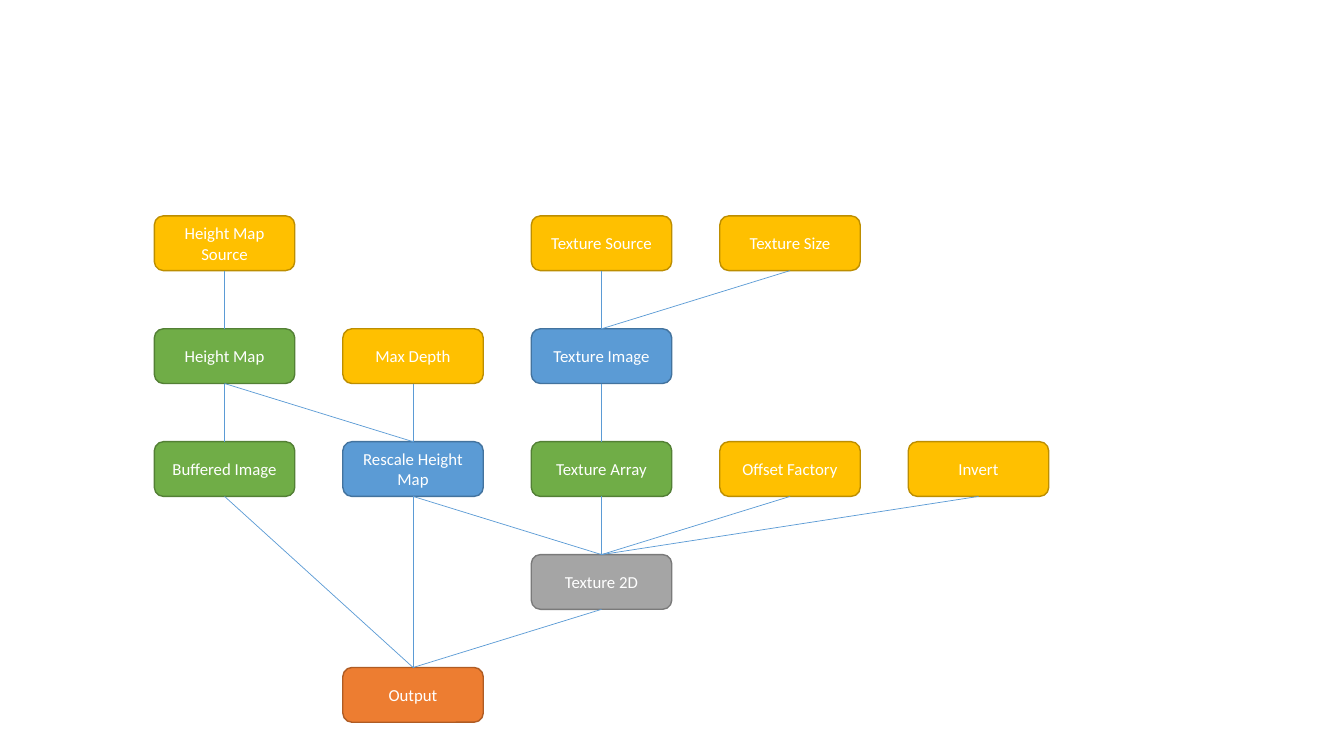
from lxml.etree import SubElement
from pptx import Presentation
from pptx.dml.color import RGBColor
from pptx.enum.shapes import MSO_CONNECTOR, MSO_SHAPE
from pptx.enum.text import MSO_ANCHOR, PP_ALIGN
from pptx.oxml.ns import qn
from pptx.util import Cm, Pt

WHITE = RGBColor(0xFF, 0xFF, 0xFF)
BLUE = RGBColor(0x5B, 0x9B, 0xD5)
BLUE_EDGE = RGBColor(0x43, 0x73, 0x9E)
GREEN = RGBColor(0x70, 0xAD, 0x47)
GREEN_EDGE = RGBColor(0x53, 0x80, 0x35)
GOLD = RGBColor(0xFF, 0xC0, 0x00)
GOLD_EDGE = RGBColor(0xBD, 0x8E, 0x00)
GREY = RGBColor(0xA5, 0xA5, 0xA5)
GREY_EDGE = RGBColor(0x7A, 0x7A, 0x7A)
ORANGE = RGBColor(0xED, 0x7D, 0x31)
ORANGE_EDGE = RGBColor(0xAF, 0x5C, 0x24)

INPUT = (GOLD, GOLD_EDGE)
DATA = (GREEN, GREEN_EDGE)
PROCESS = (BLUE, BLUE_EDGE)
TEXTURE = (GREY, GREY_EDGE)
RESULT = (ORANGE, ORANGE_EDGE)

COLUMNS, ROWS = 5, 5
NODE_W, NODE_H = Cm(3.54), Cm(1.38)
BOTTOM, TOP = 2, 0

NODES = [
    ("Height Map Source", 0, 0, INPUT),
    ("Texture Source", 2, 0, INPUT),
    ("Texture Size", 3, 0, INPUT),
    ("Height Map", 0, 1, DATA),
    ("Max Depth", 1, 1, INPUT),
    ("Texture Image", 2, 1, PROCESS),
    ("Buffered Image", 0, 2, DATA),
    ("Rescale Height Map", 1, 2, PROCESS),
    ("Texture Array", 2, 2, DATA),
    ("Offset Factory", 3, 2, INPUT),
    ("Invert", 4, 2, INPUT),
    ("Texture 2D", 2, 3, TEXTURE),
    ("Output", 1, 4, RESULT),
]

LINKS = [
    ("Height Map Source", "Height Map"),
    ("Texture Source", "Texture Image"),
    ("Texture Size", "Texture Image"),
    ("Height Map", "Buffered Image"),
    ("Height Map", "Rescale Height Map"),
    ("Max Depth", "Rescale Height Map"),
    ("Texture Image", "Texture Array"),
    ("Rescale Height Map", "Texture 2D"),
    ("Texture Array", "Texture 2D"),
    ("Offset Factory", "Texture 2D"),
    ("Invert", "Texture 2D"),
    ("Buffered Image", "Output"),
    ("Rescale Height Map", "Output"),
    ("Texture 2D", "Output"),
]


def add_node(slide, left, top, text, colors):
    """Draw one rounded box with centred text and return it."""
    fill, edge = colors
    sp = slide.shapes.add_shape(
        MSO_SHAPE.ROUNDED_RECTANGLE, left, top, NODE_W, NODE_H)
    sp.shadow.inherit = False
    sp.fill.solid()
    sp.fill.fore_color.rgb = fill
    sp.line.color.rgb = edge
    sp.line.width = Pt(1)
    tf = sp.text_frame
    tf.word_wrap = True
    tf.vertical_anchor = MSO_ANCHOR.MIDDLE
    p = tf.paragraphs[0]
    p.text = text
    p.alignment = PP_ALIGN.CENTER
    p.font.name = "Calibri"
    p.font.size = Pt(12)
    p.font.color.rgb = WHITE
    return sp


def add_link(slide, source, target):
    """Join the bottom of one node to the top of another."""
    cxn = slide.shapes.add_connector(MSO_CONNECTOR.STRAIGHT, 0, 0, 0, 0)
    cxn.begin_connect(source, BOTTOM)
    cxn.end_connect(target, TOP)
    cxn.line.color.rgb = BLUE
    cxn.line.width = Pt(0.5)
    SubElement(cxn._element.spPr, qn("a:effectLst"))


def add_flow(slide, left, top, width, height):
    """Lay the nodes out on a grid filling the given box and link them."""
    step_x = (width - NODE_W) // (COLUMNS - 1)
    step_y = (height - NODE_H) // (ROWS - 1)
    nodes = {
        text: add_node(slide, left + col * step_x, top + row * step_y,
                       text, colors)
        for text, col, row, colors in NODES
    }
    for source, target in LINKS:
        add_link(slide, nodes[source], nodes[target])


def main():
    """Build the slide and save it."""
    prs = Presentation()
    prs.slide_width, prs.slide_height = Cm(33.87), Cm(19.05)
    slide = prs.slides.add_slide(prs.slide_layouts[6])
    add_flow(slide, Cm(3.89), Cm(5.44), Cm(22.54), Cm(12.76))
    prs.save("out.pptx")


if __name__ == "__main__":
    main()
